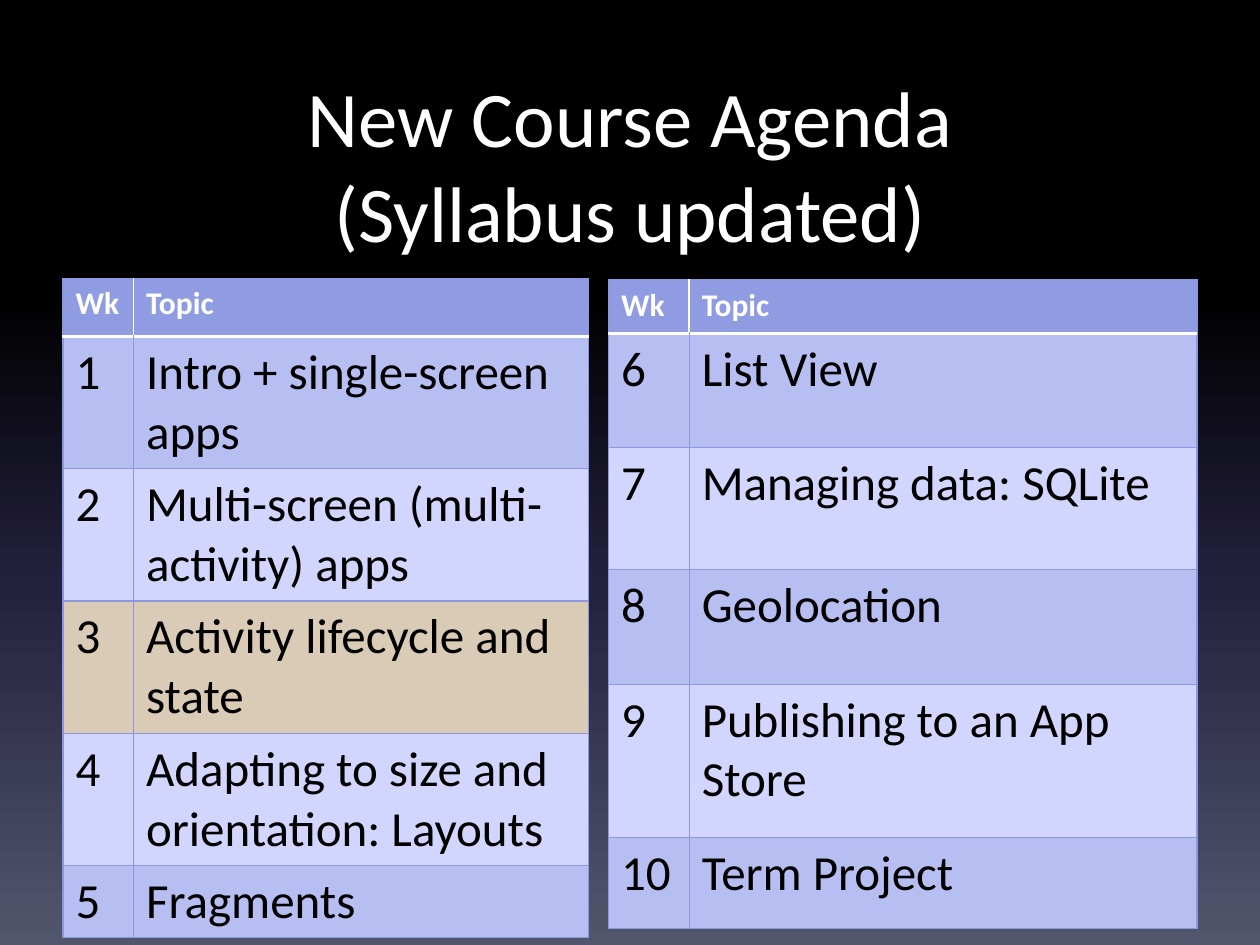
import copy
import pptx
import pptx.util
import pptx.dml.color
import pptx.enum.text
import pptx.oxml
import pptx.oxml.ns

Inches, Pt = pptx.util.Inches, pptx.util.Pt
qn = pptx.oxml.ns.qn
COLORS = {"white": "FFFFFF", "black": "000000", "head": "909CE1", "edge": "8B97DE",
          "band": "B7BFF2", "pale": "D2D6FE", "mark": "DACBB7"}


def style(para, size, color, bold=False):
    for run in para.runs:
        run.font.name = "Calibri"
        run.font.size = Pt(size)
        run.font.bold = bold
        run.font.color.rgb = pptx.dml.color.RGBColor.from_string(COLORS[color])


def border(cell, sides):
    props = cell._tc.get_or_add_tcPr()
    for spot, (side, (color, width)) in enumerate(sides.items()):
        line = pptx.oxml.parse_xml(
            f'<a:ln{side} xmlns:a="http://schemas.openxmlformats.org/drawingml/2006/main" '
            f'w="{Pt(width)}"><a:solidFill><a:srgbClr val="{COLORS[color]}"/>'
            f'</a:solidFill></a:ln{side}>')
        props.insert(spot, line)


deck = pptx.Presentation()
deck.slide_width, deck.slide_height = Inches(10), Inches(7.5)
slide = deck.slides.add_slide(deck.slide_layouts[6])

# Background gradient, top to bottom
fill = slide.background.fill
fill.gradient()
fill.gradient_angle = 270
stops = slide._element.find(".//" + qn("a:gsLst"))
for extra in range(2):
    stops.append(copy.deepcopy(stops[0]))
shades = [(0, "000000"), (0.31, "000000"), (0.62, "24213E"), (1, "51566D")]
for stop, (place, shade) in zip(fill.gradient_stops, shades):
    stop.position = place
    stop.color.rgb = pptx.dml.color.RGBColor.from_string(shade)

# Title
title = slide.shapes.add_textbox(Inches(0.5), Inches(0.5), Inches(9), Inches(1.25))
frame = title.text_frame
frame.word_wrap = True
frame.text = "New Course Agenda\v(Syllabus updated)"
frame.paragraphs[0].alignment = pptx.enum.text.PP_ALIGN.CENTER
style(frame.paragraphs[0], 45, "white")

# Agenda tables: left, top, column widths, row heights, first week, topics
agenda = [
    (0.5, 2.21, [0.56, 3.61], [0.46, 1.05, 1.05, 1.05, 1.05, 0.57], 1,
     ["Intro + single-screen apps", "Multi-screen (multi-activity) apps",
      "Activity lifecycle and state", "Adapting to size and orientation: Layouts",
      "Fragments"]),
    (4.83, 2.22, [0.64, 4.03], [0.43, 0.9, 0.97, 0.91, 1.22, 0.72], 6,
     ["List View", "Managing data: SQLite", "Geolocation",
      "Publishing to an App Store", "Term Project"]),
]
thin, thick = ("edge", 0.75), ("white", 2)
for left, top, widths, heights, first, topics in agenda:
    table = slide.shapes.add_table(
        len(heights), 2, Inches(left), Inches(top),
        Inches(sum(widths)), Inches(sum(heights))).table
    for col, width in zip(table.columns, widths):
        col.width = Inches(width)
    for row, height in zip(table.rows, heights):
        row.height = Inches(height)
    weeks = [(str(first + i), topic) for i, topic in enumerate(topics)]
    for r, texts in enumerate([("Wk", "Topic")] + weeks):
        for c, text in enumerate(texts):
            cell = table.cell(r, c)
            cell.text = text
            para = cell.text_frame.paragraphs[0]
            if r == 0:
                shade = "head"
                style(para, 18, "white", True)
                sides = {"R" if c else "L": thin, "T": thin, "B": thick}
            else:
                shade = "mark" if texts[0] == "3" else "band" if r % 2 else "pale"
                style(para, 28, "black")
                sides = {"L": thin, "R": thin, "T": thick if r == 1 else thin, "B": thin}
            cell.fill.solid()
            cell.fill.fore_color.rgb = pptx.dml.color.RGBColor.from_string(COLORS[shade])
            border(cell, sides)

deck.save("out.pptx")
